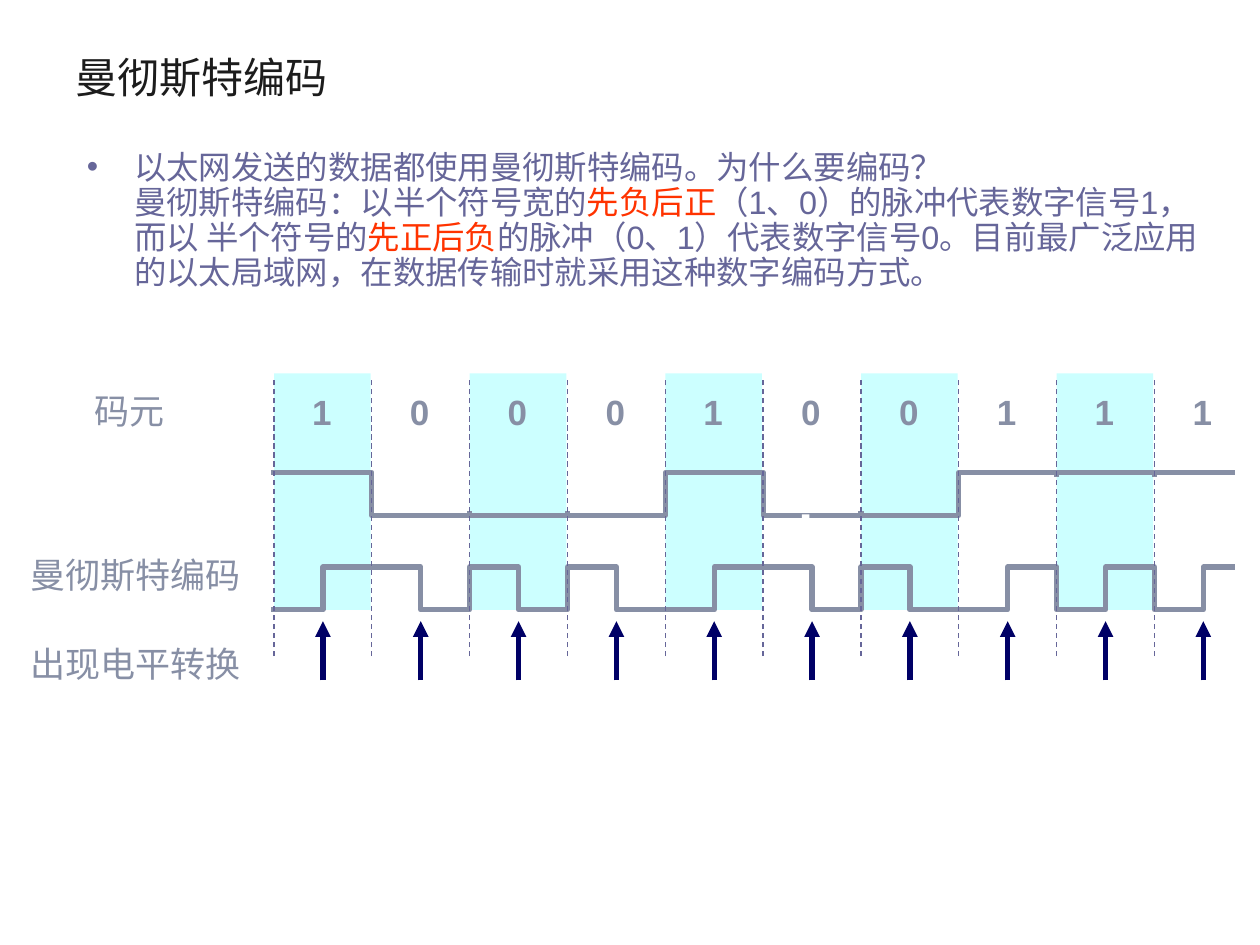
from dataclasses import dataclass
from typing import NamedTuple

from lxml import etree
from pptx import Presentation
from pptx import util as u
from pptx.dml.color import RGBColor
from pptx.enum import dml, shapes, text
from pptx.oxml import ns

Pt = u.Pt


@dataclass(frozen=True)
class Theme:
    title: str = "1C1C1C"
    body: str = "666699"
    accent: str = "FF3300"
    signal: str = "878FA5"
    shade: str = "CCFFFF"
    arrow: str = "000066"
    white: str = "FFFFFF"
    latin: str = "Arial"
    cjk: str = "Noto Sans CJK SC"
    title_size: float = 24
    body_size: float = 18.5
    label_size: float = 20
    thick: float = 3
    thin: float = 0.75


class Label(NamedTuple):
    text: str
    left: float
    top: float
    width: float
    bold: bool = False


class Line(NamedTuple):
    x: float
    start: float
    end: float
    color: str
    width: float
    dashed: bool = False
    arrow: bool = False


class Block(NamedTuple):
    left: float
    top: float
    width: float
    height: float
    fill: str


THEME = Theme()
BITS = "1000100111"
LEFT, PITCH = 156.6, 55.9
WAVE_START, WAVE_END = 154.8, 706
DATA_HIGH, DATA_LOW = 270, 294.5
CODE_HIGH, CODE_LOW = 324, 348.5

BODY = [
    ("以太网发送的数据都使用曼彻斯特编码。为什么要编码？\v曼彻斯特编码：以半个符号宽的", THEME.body),
    ("先负后正", THEME.accent),
    ("（1、0）的脉冲代表数字信号1，而以 半个符号的", THEME.body),
    ("先正后负", THEME.accent),
    ("的脉冲（0、1）代表数字信号0。目前最广泛应用的以太局域网，在数据传输时就采用这种数字编码方式。", THEME.body),
]


def edge(i: float) -> float:
    return LEFT + PITCH * i


def style_run(r, size: float, color: str, latin: str = THEME.latin, bold: bool = False) -> None:
    r.font.size = Pt(size)
    r.font.bold = bold
    r.font.name = latin
    r.font.color.rgb = RGBColor.from_string(color)
    etree.SubElement(r.font._element, ns.qn("a:ea"), typeface=THEME.cjk)


def place(sp, left: float, top: float, width: float, height: float) -> None:
    sp.left, sp.top, sp.width, sp.height = Pt(left), Pt(top), Pt(width), Pt(height)


def fill_title(sp) -> None:
    place(sp, 36, 21.6, 648, 44)
    tf = sp.text_frame
    tf.text = "曼彻斯特编码"
    tf.auto_size = text.MSO_AUTO_SIZE.NONE
    tf.vertical_anchor = text.MSO_ANCHOR.MIDDLE
    p = tf.paragraphs[0]
    p.alignment = text.PP_ALIGN.LEFT
    style_run(p.runs[0], THEME.title_size, THEME.title, THEME.cjk)


def fill_body(sp) -> None:
    place(sp, 42.5, 82.8, 658, 115.2)
    tf = sp.text_frame
    tf.auto_size = text.MSO_AUTO_SIZE.NONE
    tf.vertical_anchor = text.MSO_ANCHOR.TOP
    p = tf.paragraphs[0]
    p.text = BODY[0][0]
    for r in p.runs:
        style_run(r, THEME.body_size, BODY[0][1])
    for words, color in BODY[1:]:
        r = p.add_run()
        r.text = words
        style_run(r, THEME.body_size, color)
    p.line_spacing = 0.9
    p.space_before = Pt(0)
    pr = p._p.get_or_add_pPr()
    pr.set("marL", str(Pt(27)))
    pr.set("indent", str(-Pt(27)))
    etree.SubElement(pr, ns.qn("a:buChar"), char="•")


def draw_label(slide, label: Label) -> None:
    sp = slide.shapes.add_textbox(Pt(label.left), Pt(label.top), Pt(label.width), Pt(31))
    tf = sp.text_frame
    tf.text = label.text
    tf.word_wrap = False
    style_run(tf.paragraphs[0].runs[0], THEME.label_size, THEME.signal, bold=label.bold)


def draw_block(slide, block: Block) -> None:
    sp = slide.shapes.add_shape(shapes.MSO_SHAPE.RECTANGLE, *map(Pt, block[:4]))
    sp.shadow.inherit = False
    sp.fill.solid()
    sp.fill.fore_color.rgb = RGBColor.from_string(block.fill)
    sp.line.fill.background()


def draw_line(slide, line: Line) -> None:
    x = Pt(line.x)
    cxn = slide.shapes.add_connector(
        shapes.MSO_CONNECTOR.STRAIGHT, x, Pt(line.start), x, Pt(line.end))
    cxn.line.color.rgb = RGBColor.from_string(line.color)
    cxn.line.width = Pt(line.width)
    if line.dashed:
        cxn.line.dash_style = dml.MSO_LINE.DASH
    if line.arrow:
        etree.SubElement(cxn.line._get_or_add_ln(), ns.qn("a:tailEnd"), type="triangle")
    etree.SubElement(cxn._element.spPr, ns.qn("a:effectLst"))


def draw_wave(slide, levels: list[float], step: float) -> None:
    points = [(WAVE_START, levels[0])]
    for i, (before, after) in enumerate(zip(levels, levels[1:]), 1):
        if before != after:
            x = LEFT + step * i
            points += [(x, before), (x, after)]
    points.append((WAVE_END, levels[-1]))
    vertices = [(Pt(x), Pt(y)) for x, y in points]
    builder = slide.shapes.build_freeform(*vertices[0])
    builder.add_line_segments(vertices[1:], close=False)
    sp = builder.convert_to_shape()
    sp.shadow.inherit = False
    sp.fill.background()
    sp.line.color.rgb = RGBColor.from_string(THEME.signal)
    sp.line.width = Pt(THEME.thick)


def main() -> None:
    prs = Presentation()
    prs.slide_width, prs.slide_height = Pt(720), Pt(540)
    slide = prs.slides.add_slide(prs.slide_layouts[1])
    fill_title(slide.shapes.title)
    fill_body(slide.placeholders[1])

    for i in range(0, len(BITS), 2):
        draw_block(slide, Block(edge(i), 213.4, 55.2, 135.2, THEME.shade))
    for i, bit in enumerate(BITS):
        draw_label(slide, Label(bit, edge(i + 0.5) - 13.3, 219.6, 25.2, True))

    data = [DATA_HIGH if bit == "1" else DATA_LOW for bit in BITS]
    draw_wave(slide, data, PITCH)
    for i in range(1, len(data)):
        if data[i] == data[i - 1]:
            top = DATA_HIGH if data[i] == DATA_HIGH else DATA_LOW - 2.5
            draw_line(slide, Line(edge(i), top + 2.5, top, THEME.signal, THEME.thick))

    code = []
    for bit in BITS:
        code += [CODE_LOW, CODE_HIGH] if bit == "1" else [CODE_HIGH, CODE_LOW]
    draw_wave(slide, code, PITCH / 2)
    draw_block(slide, Block(458.3, 294, 4.2, 2.2, THEME.white))

    for i in range(len(BITS)):
        draw_line(slide, Line(edge(i), 375, 216.7, THEME.body, THEME.thin, dashed=True))
    for i in range(len(BITS)):
        draw_line(slide, Line(edge(i + 0.5), 388.8, 355, THEME.arrow, THEME.thick, arrow=True))

    for label in (
        Label("码元", 47, 218.9, 55),
        Label("曼彻斯特编码", 10.1, 312.5, 134.6),
        Label("出现电平转换", 10.1, 363.6, 134.6),
    ):
        draw_label(slide, label)

    prs.save("out.pptx")


if __name__ == "__main__":
    main()
